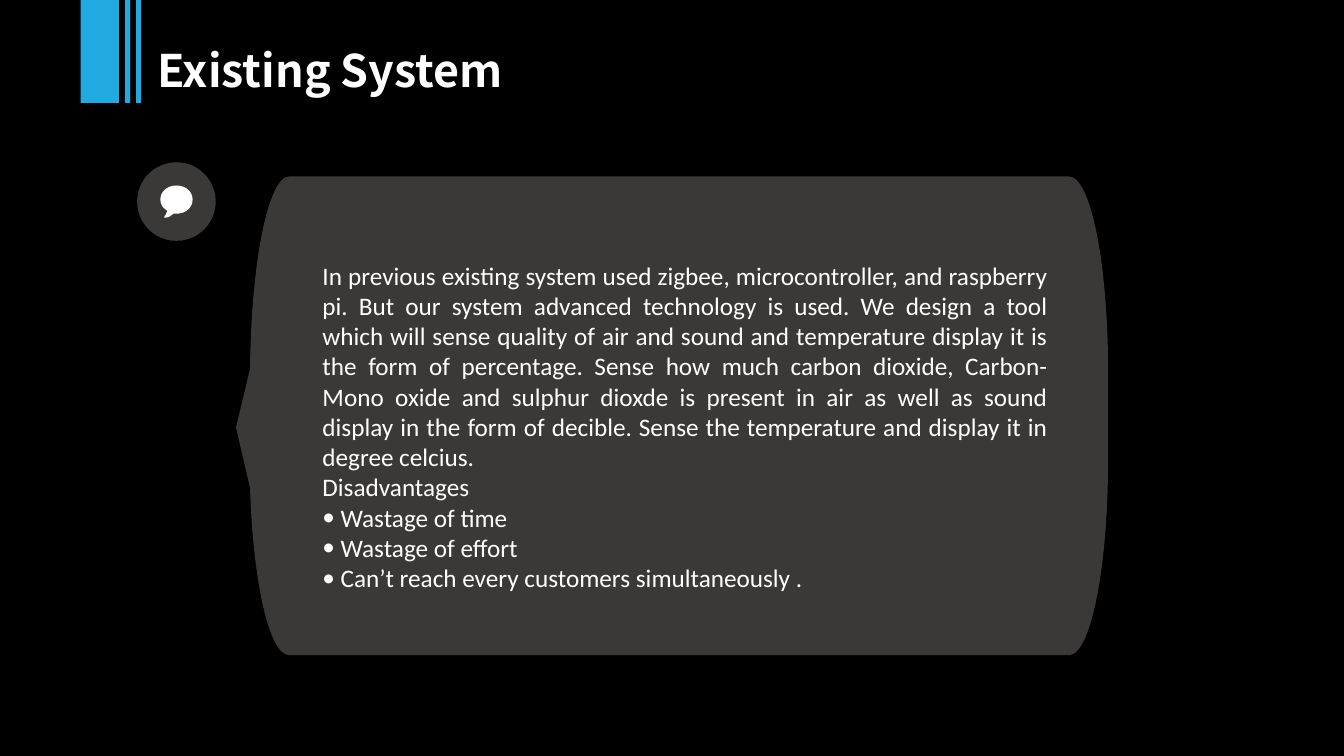
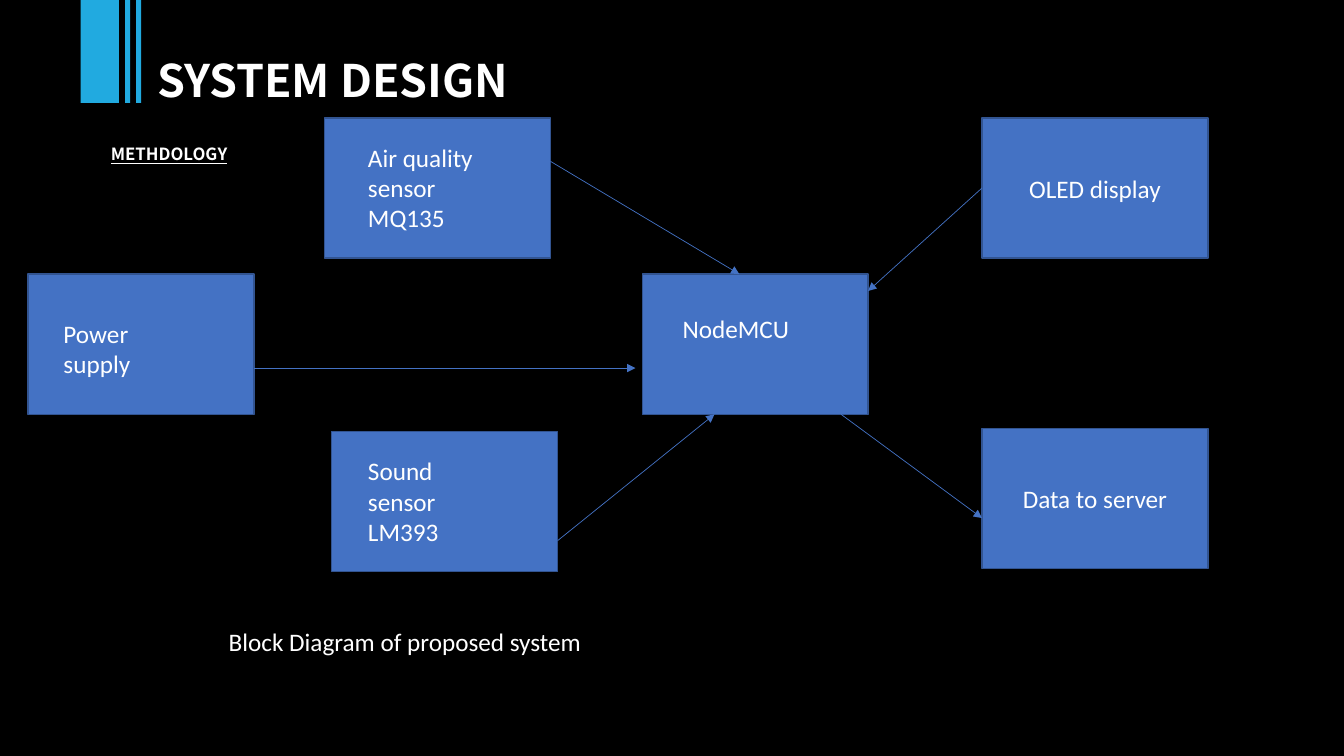
from lxml import etree
from pptx import Presentation
from pptx import util as u
from pptx.dml.color import RGBColor
from pptx.enum import shapes, text
from pptx.oxml.ns import qn

COLORS = {
    "night": "000000", "accent": "21AAE0", "panel": "3B3838", "white": "FFFFFF",
    "block": "4472C4", "edge": "325491",
}
TITLE = {"name": "Noto Sans CJK SC", "size": u.Pt(32), "bold": True}
HEADING = {"name": "Noto Sans CJK SC", "size": u.Pt(12), "bold": True, "underline": True}
BODY = {"name": "Calibri", "size": u.Pt(18)}

WIDTH, HEIGHT = 13.33, 7.5
BAR_HEIGHT = 1.02
BARS = [(0.8, 0.38), (1.24, 0.05), (1.35, 0.05)]
NO_INSETS = (0, 0, 0, 0)
INSETS = (0.1, 0.05, 0.1, 0.05)
BULLET_INDENT = u.Inches(0.18)

EXISTING = (
    "In previous existing system used zigbee, microcontroller, and raspberry pi. "
    "But our system advanced technology is used. We design a tool which will sense "
    "quality of air and sound and temperature display it is the form of percentage. "
    "Sense how much carbon dioxide, Carbon-Mono oxide and sulphur dioxde is present "
    "in air as well as sound display in the form of decible. Sense the temperature "
    "and display it in degree celcius."
)
DISADVANTAGES = ["Wastage of time", "Wastage of effort",
                 "Can’t reach every customers simultaneously ."]
PANEL = [
    [(2.87, 1.75)],
    [(2.66, 1.75), (2.49, 2.6), (2.48, 3.66)],
    [(2.34, 4.24)],
    [(2.48, 4.84)],
    [(2.51, 5.78), (2.67, 6.5), (2.87, 6.5)],
    [(10.6, 6.5)],
    [(10.82, 6.5), (10.99, 5.63), (10.99, 4.55)],
    [(10.99, 3.69)],
    [(10.99, 2.62), (10.82, 1.75), (10.6, 1.75)],
]
BALLOON = [
    [(1.75, 1.84)],
    [(1.84, 1.84), (1.91, 1.9), (1.91, 1.98)],
    [(1.91, 2.06), (1.84, 2.12), (1.75, 2.12)],
    [(1.72, 2.12)],
    [(1.7, 2.14), (1.67, 2.16), (1.63, 2.16)],
    [(1.63, 2.15)],
    [(1.64, 2.14), (1.65, 2.12), (1.66, 2.09)],
    [(1.62, 2.07), (1.59, 2.03), (1.59, 1.98)],
    [(1.59, 1.9), (1.66, 1.84), (1.75, 1.84)],
]

BLOCK_SIZE = (2.24, 1.39)
BLOCKS = {
    "power": ("Power supply", (0.28, 2.72), (0.35, 0.44, 0.57, 0)),
    "sound": ("Sound sensor LM393", (3.29, 4.28), (0.36, 0.24, 0.56, 0)),
    "air": ("Air quality sensor MQ135", (3.22, 1.17), (0.43, 0.24, 0.49, 0)),
    "node": ("NodeMCU", (6.37, 2.72), (0.4, 0.39, 0.36, 0)),
    "display": ("OLED display", (9.74, 1.17), None),
    "server": ("Data to server", (9.74, 4.25), None),
}
LINKS = [
    ("air", (1, 0.31), "node", (0.43, 0)),
    ("sound", (1, 0.78), "node", (0.32, 1)),
    ("display", (0, 0.5), "node", (1, 0.12)),
    ("node", (0.88, 1), "server", (0, 0.64)),
    ("power", (1, 0.67), "node", (-0.03, 0.67)),
]


def rgb(color):
    return RGBColor.from_string(COLORS[color])


def paint(shape, fill, edge=None):
    shape.shadow.inherit = False
    shape.fill.solid()
    shape.fill.fore_color.rgb = rgb(fill)
    if edge:
        shape.line.color.rgb = rgb(edge)
        shape.line.width = u.Pt(1)
    else:
        shape.line.fill.background()
    return shape


def add_preset(slide, preset, place, fill, edge=None):
    return paint(slide.shapes.add_shape(preset, *map(u.Inches, place)), fill, edge)


def add_outline(slide, segments, fill):
    start, *points = [tuple(map(u.Inches, point)) for part in segments for point in part]
    builder = slide.shapes.build_freeform(*start)
    builder.add_line_segments(points, close=True)
    outline = builder.convert_to_shape()
    steps = iter(list(outline._element.iter(qn("a:lnTo"))))
    for part in segments[1:]:
        drawn = [next(steps) for _ in part]
        if len(part) == 3:
            bend = etree.Element(qn("a:cubicBezTo"))
            drawn[0].addprevious(bend)
            for step in drawn:
                bend.append(step[0])
                step.getparent().remove(step)
    return paint(outline, fill)


def write(shape, lines, style, insets=INSETS, anchor=text.MSO_ANCHOR.TOP,
          align=text.PP_ALIGN.LEFT, spacing=None, bullets=()):
    frame = shape.text_frame
    frame.word_wrap = True
    frame.vertical_anchor = anchor
    for side, inset in zip(("left", "top", "right", "bottom"), insets):
        setattr(frame, f"margin_{side}", u.Inches(inset))
    for number, line in enumerate([*lines, *bullets]):
        paragraph = frame.add_paragraph() if number else frame.paragraphs[0]
        paragraph.alignment = align
        if spacing:
            paragraph.line_spacing = spacing
        if number >= len(lines):
            properties = paragraph._p.get_or_add_pPr()
            properties.set("marL", str(BULLET_INDENT))
            properties.set("indent", str(-BULLET_INDENT))
            etree.SubElement(properties, qn("a:buFont"), typeface=style["name"])
            etree.SubElement(properties, qn("a:buChar"), char="•")
        run = paragraph.add_run()
        run.text = line
        for key, value in style.items():
            setattr(run.font, key, value)
        run.font.color.rgb = rgb("white")


def add_text(slide, place, lines, style, **layout):
    write(slide.shapes.add_textbox(*map(u.Inches, place)), lines, style, **layout)


def add_slide(deck, title, title_size, spacing=None):
    slide = deck.slides.add_slide(deck.slide_layouts[6])
    slide.background.fill.solid()
    slide.background.fill.fore_color.rgb = rgb("night")
    add_text(slide, (1.56, 0.42, *title_size), [title], TITLE,
             insets=NO_INSETS, spacing=spacing)
    for left, width in BARS:
        add_preset(slide, shapes.MSO_SHAPE.RECTANGLE, (left, 0, width, BAR_HEIGHT), "accent")
    return slide


def add_arrow(slide, start, end):
    arrow = slide.shapes.add_connector(shapes.MSO_CONNECTOR.STRAIGHT,
                                       *map(u.Inches, (*start, *end)))
    arrow.line.color.rgb = rgb("block")
    arrow.line.width = u.Pt(0.5)
    etree.SubElement(arrow.line._get_or_add_ln(), qn("a:tailEnd"), type="triangle")
    etree.SubElement(arrow._element.spPr, qn("a:effectLst"))


def block_point(block, shares):
    return [start + size * share
            for start, size, share in zip(BLOCKS[block][1], BLOCK_SIZE, shares)]


def existing_system(deck):
    slide = add_slide(deck, "Existing System", (11.58, 1.72))
    add_preset(slide, shapes.MSO_SHAPE.OVAL, (1.36, 1.61, 0.78, 0.78), "panel")
    add_outline(slide, BALLOON, "white")
    add_outline(slide, PANEL, "panel")
    add_text(slide, (3.1, 2.53, 7.39, 3.43), [EXISTING, "Disadvantages"], BODY,
             align=text.PP_ALIGN.JUSTIFY, bullets=DISADVANTAGES)


def system_design(deck):
    slide = add_slide(deck, "SYSTEM DESIGN", (3.97, 0.59), spacing=1.2)
    add_text(slide, (1, 1.28, 6.08, 0.78), ["METHDOLOGY"], HEADING, spacing=1.5)
    add_text(slide, (2.17, 6.16, 3.84, 0.4), ["Block Diagram of proposed system"], BODY)
    for label, corner, insets in BLOCKS.values():
        block = add_preset(slide, shapes.MSO_SHAPE.RECTANGLE, (*corner, *BLOCK_SIZE),
                           "block", "edge")
        if insets:
            write(block, [label], BODY, insets)
        else:
            write(block, [label], BODY, anchor=text.MSO_ANCHOR.MIDDLE,
                  align=text.PP_ALIGN.CENTER)
    for source, leave, target, arrive in LINKS:
        add_arrow(slide, block_point(source, leave), block_point(target, arrive))


def main():
    deck = Presentation()
    deck.slide_width, deck.slide_height = u.Inches(WIDTH), u.Inches(HEIGHT)
    existing_system(deck)
    system_design(deck)
    deck.save("out.pptx")


if __name__ == "__main__":
    main()
